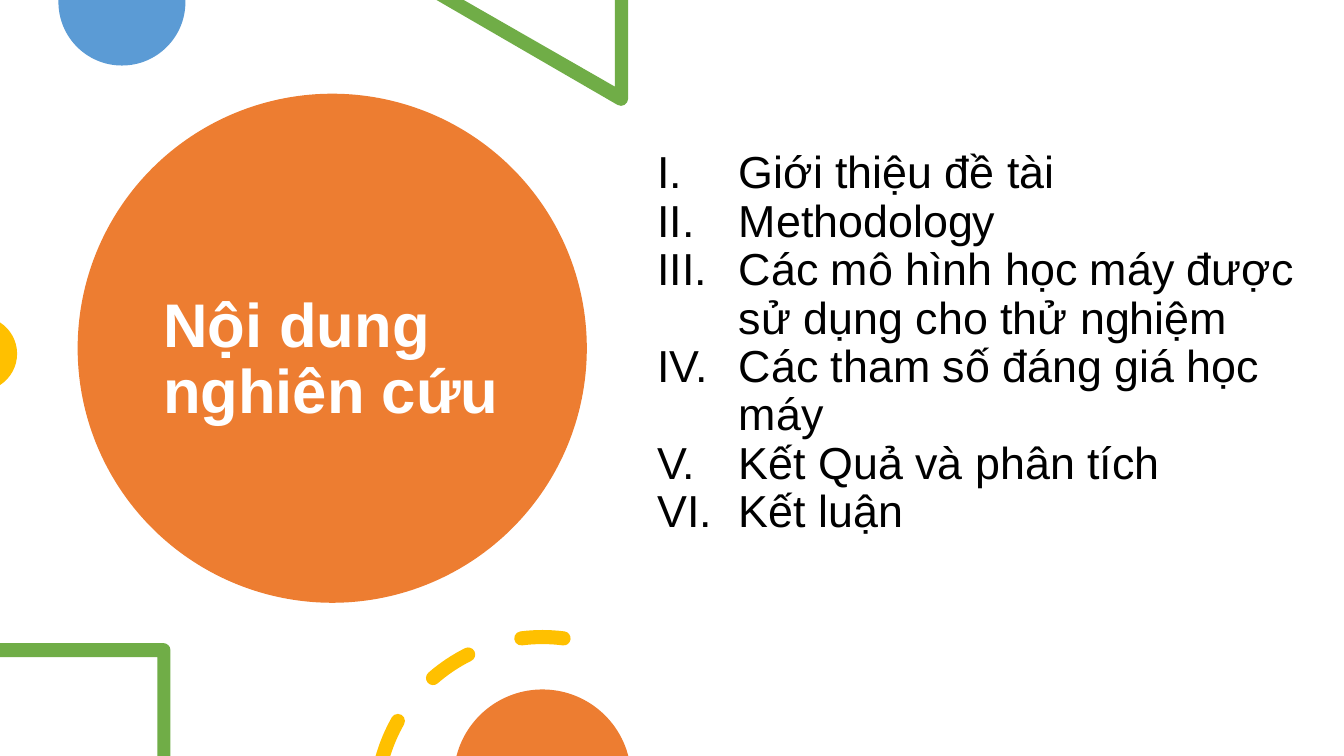
import math
from dataclasses import dataclass

from lxml import etree
from pptx import Presentation, util as u
from pptx.dml.color import RGBColor
from pptx.enum import shapes, text
from pptx.oxml import ns


@dataclass(frozen=True)
class Theme:
    font: str = "Arial"
    title_size: int = 44
    body_size: int = 32
    line_spacing: float = 0.9
    orange: str = "ED7D31"
    blue: str = "5B9BD5"
    green: str = "70AD47"
    yellow: str = "FFC000"
    white: str = "FFFFFF"
    black: str = "000000"


THEME = Theme()
WIDTH, HEIGHT = 13.33, 7.5
TITLE = "Nội dung nghiên cứu"
TOPICS = [
    "Giới thiệu đề tài",
    "Methodology",
    "Các mô hình học máy được sử dụng cho thử nghiệm",
    "Các tham số đáng giá học máy",
    "Kết Quả và phân tích",
    "Kết luận",
]


def paint(shape, color):
    shape.shadow.inherit = False
    shape.fill.solid()
    shape.fill.fore_color.rgb = RGBColor.from_string(color)
    shape.line.fill.background()


# Outlines: a contour lists segments, one point for a line, three for a curve

def polar(x, y, radius, degrees):
    angle = math.radians(degrees)
    return x + radius * math.cos(angle), y + radius * math.sin(angle)


def arc(x, y, radius, start, end):
    """Start point, then curves of at most 90 degrees, clockwise from the right."""
    count = math.ceil(abs(end - start) / 90)
    step = (end - start) / count
    handle = 4 / 3 * math.tan(math.radians(step) / 4)
    reach = radius * math.hypot(1, handle)
    lean = math.degrees(math.atan(handle))
    segments = [(polar(x, y, radius, start),)]
    for index in range(count):
        near, far = start + step * index, start + step * (index + 1)
        segments.append((polar(x, y, reach, near + lean),
                         polar(x, y, reach, far - lean),
                         polar(x, y, radius, far)))
    return segments


def lines(left, top, points):
    return [((left + x, top + y),) for x, y in points]


def add_outline(page, contours, color):
    builder = None
    for contour in contours:
        corners = [(u.Inches(x), u.Inches(y)) for segment in contour for x, y in segment]
        if builder is None:
            builder = page.shapes.build_freeform(*corners[0])
        else:
            builder.move_to(*corners[0])
        builder.add_line_segments(corners[1:], close=True)
    shape = builder.convert_to_shape()
    # Join each three line steps of a curve into one Bezier step
    steps = iter(list(shape._element.iter(ns.qn("a:moveTo"), ns.qn("a:lnTo"))))
    for contour in contours:
        for segment in contour:
            first, *others = [next(steps) for _ in segment]
            if others:
                first.tag = ns.qn("a:cubicBezTo")
            for other in others:
                first.append(other[0])
                other.getparent().remove(other)
    paint(shape, color)


def dash(x, y, radius, start, end, half):
    """A thick arc with round ends, cut flat where it meets the page foot."""
    outer, inner = radius + half, radius - half
    outer_start = inner_start = start
    tail = arc(*polar(x, y, radius, start), half, start + 180, start + 360)[1:]
    if polar(x, y, radius, start)[1] > HEIGHT:
        outer_start, inner_start = (
            180 + math.degrees(math.asin((y - HEIGHT) / size)) for size in (outer, inner))
        tail = []
    head = arc(*polar(x, y, radius, end), half, end, end + 180)[1:]
    return (arc(x, y, outer, outer_start, end) + head
            + arc(x, y, inner, end, inner_start)[1:] + tail)


def add_text(page, box, content, size, color, bold=False):
    frame = page.shapes.add_textbox(*map(u.Inches, box)).text_frame
    frame.word_wrap = True
    frame.text = "\n".join(content)
    for para in frame.paragraphs:
        para.line_spacing = THEME.line_spacing
        for span in para.runs:
            span.font.name = THEME.font
            span.font.size = u.Pt(size)
            span.font.bold = bold
            span.font.color.rgb = RGBColor.from_string(color)
    return frame


def number_paragraph(para):
    """Hanging Roman numeral in the text colour."""
    props = para._p.get_or_add_pPr()
    props.set("marL", str(u.Inches(1.31)))
    props.set("indent", str(u.Inches(-0.81)))
    color = etree.SubElement(props, ns.qn("a:buClr"))
    etree.SubElement(color, ns.qn("a:srgbClr"), val=THEME.black)
    etree.SubElement(props, ns.qn("a:buFont"), typeface=THEME.font)
    etree.SubElement(props, ns.qn("a:buAutoNum"), type="romanUcPeriod")


def add_title_disc(page, left, top, size):
    disc = page.shapes.add_shape(
        shapes.MSO_SHAPE.OVAL, *map(u.Inches, (left, top, size, size)))
    paint(disc, THEME.orange)
    box = (left + 0.75, top + 0.42, 3.54, 4.45)
    frame = add_text(page, box, [TITLE], THEME.title_size, THEME.white, bold=True)
    frame.vertical_anchor = text.MSO_ANCHOR.MIDDLE


def add_topics(page, box):
    frame = add_text(page, box, TOPICS, THEME.body_size, THEME.black)
    for para in frame.paragraphs:
        number_paragraph(para)


def add_top_decor(page, left, top):
    # Blue half disc
    edges = lines(left, top, [(0.58, 0), (1.84, 0)])
    add_outline(page, [edges + arc(left + 1.21, top + 0.02, 0.63, 0, 180)], THEME.blue)
    # Green triangle frame
    edges = lines(left, top, [(4.33, 0), (4.6, 0), (6.1, 0.86), (6.1, 0), (6.23, 0)])
    tip = arc(left + 6.16, top + 0.98, 0.07, 0, 120)
    add_outline(page, [edges + tip], THEME.green)


def add_side_decor(page, left, middle):
    add_outline(page, [arc(left - 0.2, middle, 0.37, -57, 57)], THEME.yellow)


def add_bottom_decor(page, left, bottom):
    # Green corner frame
    edges = lines(left, bottom, [
        (1.69, 0), (1.56, 0), (1.56, -0.98), (0, -0.98), (0, -1.12)])
    corner = arc(left + 1.62, bottom - 1.05, 0.07, -90, 0)
    add_outline(page, [edges + corner], THEME.green)
    # Dashed yellow ring around an orange disc
    center = left + 5.38
    middles = [270 - 33.8 * index for index in range(3)]
    ring = [dash(center, bottom + 0.47, 1.65, middle - 7.3, middle + 7.3, 0.07)
            for middle in middles]
    add_outline(page, ring, THEME.yellow)
    add_outline(page, [arc(center, bottom + 0.22, 0.88, 194.5, 345.5)], THEME.orange)


def build_agenda(deck):
    page = deck.slides.add_slide(deck.slide_layouts[6])
    add_title_disc(page, 0.77, 0.93, 5.05)
    add_top_decor(page, 0, 0)
    add_side_decor(page, 0, 3.51)
    add_topics(page, (5.92, 1.44, 7.13, 4.35))
    add_bottom_decor(page, 0, HEIGHT)


def main():
    deck = Presentation()
    deck.slide_width, deck.slide_height = u.Inches(WIDTH), u.Inches(HEIGHT)
    build_agenda(deck)
    deck.save("out.pptx")


if __name__ == "__main__":
    main()
